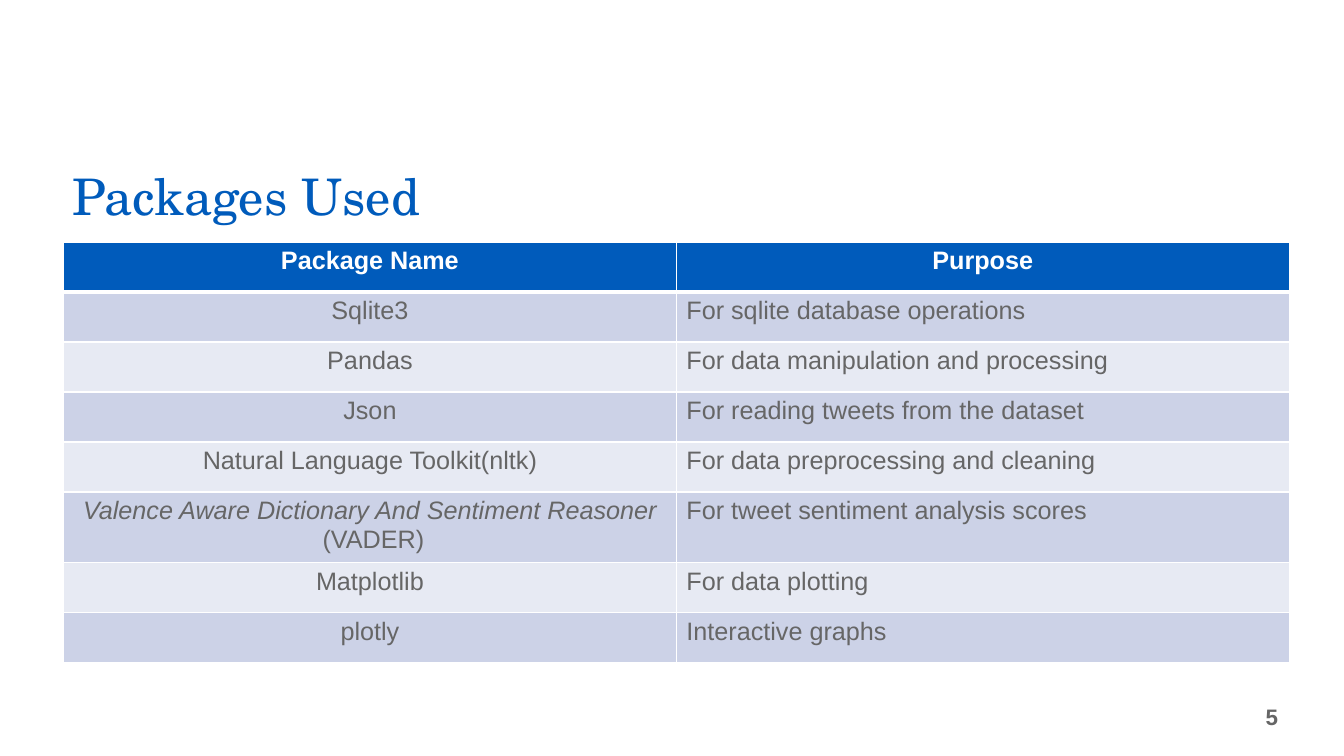
from dataclasses import dataclass

from lxml.etree import SubElement
from pptx import Presentation
from pptx.dml.color import RGBColor
from pptx.enum.text import MSO_ANCHOR as Anchor, PP_ALIGN as Align
from pptx.oxml.ns import qn
from pptx.slide import Slide
from pptx.table import _Cell as Cell
from pptx.text.text import TextFrame
from pptx.util import Cm, Pt


@dataclass(frozen=True)
class Theme:
    """Colours, fonts and type sizes of the slide."""
    blue: str = "005BBB"
    grey: str = "666666"
    white: str = "FFFFFF"
    bands: tuple[str, str] = ("CCD2E7", "E7EAF3")
    serif: str = "TeX Gyre Schola"
    sans: str = "Arial"
    title_size: int = 36
    table_size: int = 18
    number_size: int = 16
    rule: int = 1
    header_rule: int = 3


@dataclass(frozen=True)
class Package:
    """One table row; a full name goes in italics above the short one."""
    name: str
    purpose: str
    full_name: str = ""


@dataclass(frozen=True)
class Box:
    """Place of an element, in centimetres."""
    left: float
    top: float
    width: float
    height: float

    def lengths(self) -> tuple[Cm, Cm, Cm, Cm]:
        """Return the four values as lengths."""
        return Cm(self.left), Cm(self.top), Cm(self.width), Cm(self.height)


THEME = Theme()
TITLE_BOX = Box(1.57, 4.17, 30.89, 1.65)
TABLE_BOX = Box(1.6, 6.1, 30.89, 10.5)
NUMBER_BOX = Box(21.03, 17.55, 11.43, 1.02)
ROW_HEIGHT, TALL_ROW_HEIGHT = 1.26, 1.68
HEADINGS = ("Package Name", "Purpose")
PACKAGES = (
    Package("Sqlite3", "For sqlite database operations"),
    Package("Pandas", "For data manipulation and processing"),
    Package("Json", "For reading tweets from the dataset"),
    Package("Natural Language Toolkit(nltk)", "For data preprocessing and cleaning"),
    Package(" (VADER)", "For tweet sentiment analysis scores",
            "Valence Aware Dictionary And Sentiment Reasoner"),
    Package("Matplotlib", "For data plotting"),
    Package("plotly", "Interactive graphs"),
)


def write(frame: TextFrame, text: str, *, size: int = THEME.table_size,
          font: str = THEME.sans, color: str = THEME.grey, bold: bool = False,
          italic: bool = False, align: Align = Align.LEFT,
          line_spacing: float = 1.0) -> None:
    """Write a paragraph, using the empty first one when there is one."""
    paragraph = frame.add_paragraph() if frame.text else frame.paragraphs[0]
    paragraph.alignment = align
    paragraph.line_spacing = line_spacing
    run = paragraph.add_run()
    run.text = text
    run.font.size, run.font.name = Pt(size), font
    run.font.bold, run.font.italic = bold, italic
    run.font.color.rgb = RGBColor.from_string(color)


def add_text(slide: Slide, box: Box, text: str, anchor: Anchor, **style) -> None:
    """Add a wrapped text box."""
    frame = slide.shapes.add_textbox(*box.lengths()).text_frame
    frame.word_wrap = True
    frame.vertical_anchor = anchor
    write(frame, text, **style)


def paint(cell: Cell, fill: str, top: int = THEME.rule, bottom: int = THEME.rule) -> None:
    """Give a cell white borders and a solid fill."""
    properties = cell._tc.get_or_add_tcPr()
    widths = {"L": THEME.rule, "R": THEME.rule, "T": top, "B": bottom}
    for side, width in widths.items():
        line = SubElement(properties, qn(f"a:ln{side}"), w=str(Pt(width)))
        SubElement(SubElement(line, qn("a:solidFill")), qn("a:srgbClr"), val=THEME.white)
    cell.fill.solid()
    cell.fill.fore_color.rgb = RGBColor.from_string(fill)


def add_packages(slide: Slide) -> None:
    """Add the table of packages with alternating row colours."""
    table = slide.shapes.add_table(
        len(PACKAGES) + 1, len(HEADINGS), *TABLE_BOX.lengths()).table
    table.rows[0].height = Cm(ROW_HEIGHT)
    for column, heading in enumerate(HEADINGS):
        cell = table.cell(0, column)
        paint(cell, THEME.blue, bottom=THEME.header_rule)
        write(cell.text_frame, heading, color=THEME.white, bold=True, align=Align.CENTER)
    for row, package in enumerate(PACKAGES, start=1):
        table.rows[row].height = Cm(TALL_ROW_HEIGHT if package.full_name else ROW_HEIGHT)
        name_cell, purpose_cell = table.cell(row, 0), table.cell(row, 1)
        for cell in (name_cell, purpose_cell):
            paint(cell, THEME.bands[(row - 1) % 2],
                  top=THEME.header_rule if row == 1 else THEME.rule)
        if package.full_name:
            write(name_cell.text_frame, package.full_name, italic=True, align=Align.CENTER)
        write(name_cell.text_frame, package.name, align=Align.CENTER)
        write(purpose_cell.text_frame, package.purpose)


def main() -> None:
    """Build and save the slide."""
    deck = Presentation()
    deck.slide_width, deck.slide_height = Cm(33.87), Cm(19.05)
    slide = deck.slides.add_slide(deck.slide_layouts[6])
    add_text(slide, TITLE_BOX, "Packages Used", Anchor.BOTTOM, size=THEME.title_size,
             font=THEME.serif, color=THEME.blue, line_spacing=0.9)
    add_packages(slide)
    add_text(slide, NUMBER_BOX, "5", Anchor.MIDDLE, size=THEME.number_size,
             bold=True, align=Align.RIGHT)
    deck.save("out.pptx")


main()
